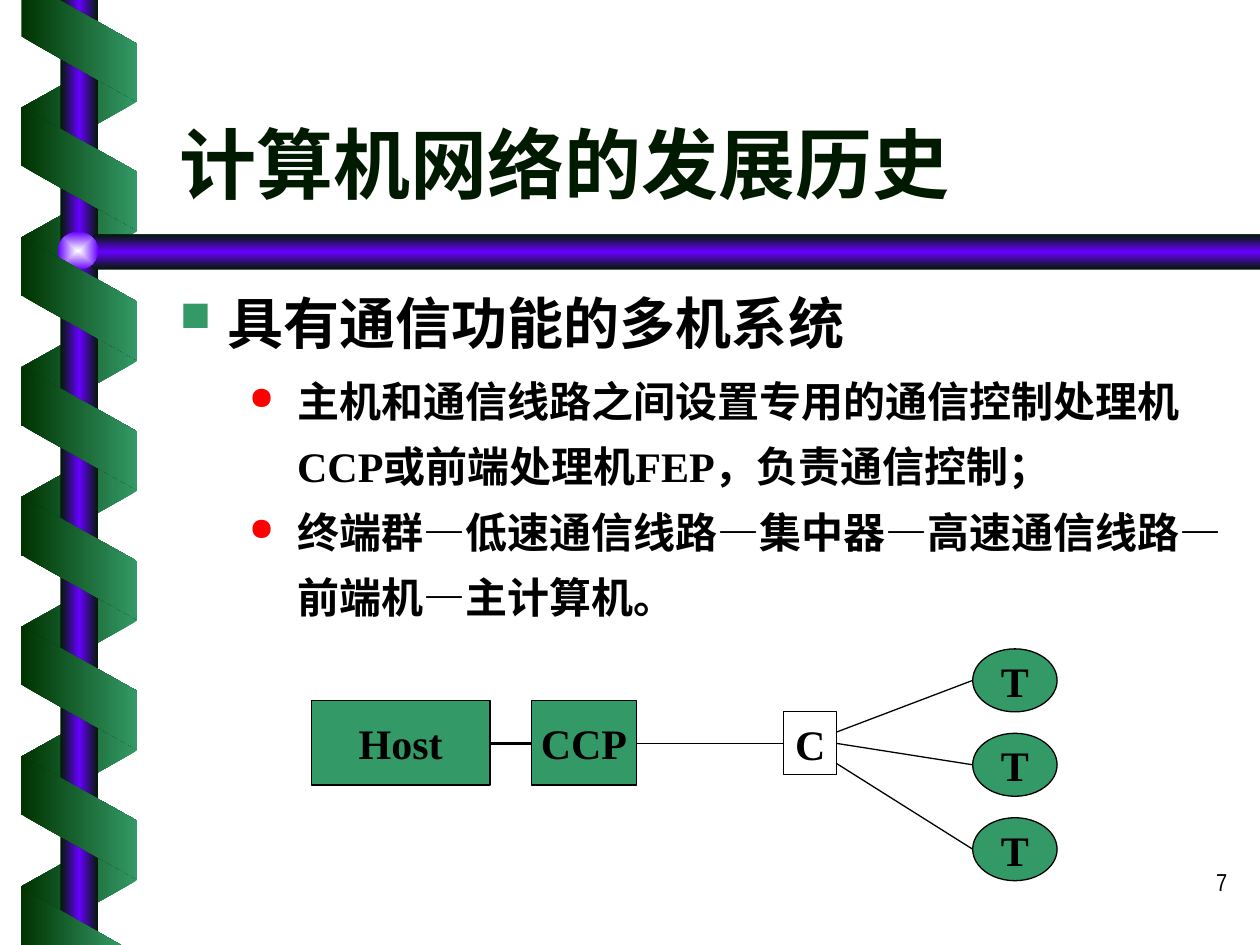
import pptx
import pptx.util
import pptx.dml.color
import pptx.enum.shapes
import pptx.enum.text
import pptx.oxml
import pptx.oxml.ns
from pptx.util import Inches

SHAPES = pptx.enum.shapes.MSO_SHAPE
ALIGN = pptx.enum.text.PP_ALIGN
ANCHOR = pptx.enum.text.MSO_ANCHOR
SERIF = "Times New Roman"
CHINESE = "Noto Sans CJK SC"
GREEN = "339966"
DARK_GREEN = "003300"
BLACK = "000000"
RIBBON = [(0, DARK_GREEN), (100, GREEN)]
RIBBON_BACK = [(0, GREEN), (100, DARK_GREEN)]
BAR = [(0, "001A00"), (50, "6600FF"), (100, "001A00")]
BALL = [(0, "FEFFFF"), (100, "6600FF")]
LINEAR = '<a:lin ang="{}" scaled="0"/>'
CENTERED = '<a:path path="rect"><a:fillToRect l="50000" t="50000" r="50000" b="50000"/></a:path>'


def color(value):
    return pptx.dml.color.RGBColor.from_string(value)


def add_xml(parent, tag, **attributes):
    element = parent.makeelement(pptx.oxml.ns.qn(tag), attributes)
    parent.append(element)
    return element


def fill_gradient(shape, stops, direction):
    shape.shadow.inherit = False
    shape.line.fill.background()
    shape.fill.background()
    stop_xml = "".join(
        f'<a:gs pos="{position * 1000}"><a:srgbClr val="{value}"/></a:gs>'
        for position, value in stops
    )
    gradient = pptx.oxml.parse_xml(
        f'<a:gradFill {pptx.oxml.ns.nsdecls("a")} rotWithShape="0">'
        f"<a:gsLst>{stop_xml}</a:gsLst>{direction}</a:gradFill>"
    )
    properties = shape._element.spPr
    properties.replace(properties.find(pptx.oxml.ns.qn("a:noFill")), gradient)


def add_gradient_shape(slide, kind, box, stops, direction):
    shape = slide.shapes.add_shape(kind, *map(Inches, box))
    fill_gradient(shape, stops, direction)
    return shape


def add_gradient_outline(slide, points, stops, angle):
    corners = [(Inches(x), Inches(y)) for x, y in points]
    builder = slide.shapes.build_freeform(*corners[0])
    builder.add_line_segments(corners[1:], close=True)
    fill_gradient(builder.convert_to_shape(), stops, LINEAR.format(angle * 60000))


def add_ribbon_fold(slide, top, stops, rotation, flipped):
    fold = add_gradient_shape(
        slide, SHAPES.PARALLELOGRAM, (0.14, top, 0.98, 0.92), stops, LINEAR.format(0)
    )
    fold.adjustments[0] = 0.56
    fold.rotation = rotation
    if flipped:
        fold._element.spPr.find(pptx.oxml.ns.qn("a:xfrm")).set("flipH", "1")


def add_decoration(slide):
    pitch = 1.03
    for index in range(7):
        add_ribbon_fold(slide, 0.37 + index * pitch, RIBBON_BACK, 90, True)
    add_gradient_shape(slide, SHAPES.RECTANGLE, (0.48, 0, 0.3, 7.5), BAR, LINEAR.format(0))
    bar = [(10, 1.86), (0.76, 1.86), (0.6, 2), (0.76, 2.14), (10, 2.14)]
    add_gradient_outline(slide, bar, BAR, 90)
    add_gradient_shape(slide, SHAPES.OVAL, (0.46, 1.84, 0.32, 0.3), BALL, CENTERED)
    for index in range(6):
        add_ribbon_fold(slide, 0.88 + index * pitch, RIBBON, 270, False)
    top_end = [(0.17, 0), (0.17, 0.29), (1.09, 0.81), (1.09, 0.35), (0.47, 0)]
    bottom_end = [(0.96, 7.5), (0.17, 7.05), (0.17, 7.5)]
    for points in (top_end, bottom_end):
        add_gradient_outline(slide, points, RIBBON, 0)


def add_run(paragraph, text, size, font=SERIF, value=BLACK, bold=True):
    run = paragraph.add_run()
    run.text = text
    run.font.size = pptx.util.Pt(size)
    run.font.name = font
    run.font.bold = bold
    run.font.color.rgb = color(value)
    add_xml(run._r.get_or_add_rPr(), "a:ea", typeface=CHINESE)


def add_text_frame(slide, box, anchor=ANCHOR.TOP):
    frame = slide.shapes.add_textbox(*map(Inches, box)).text_frame
    frame.word_wrap = True
    frame.vertical_anchor = anchor
    return frame


def set_bullet(paragraph, character, value, indent):
    properties = paragraph._p.get_or_add_pPr()
    properties.set("marL", str(Inches(indent)))
    properties.set("indent", str(Inches(-0.38)))
    add_xml(add_xml(properties, "a:buClr"), "a:srgbClr", val=value)
    add_xml(properties, "a:buSzPct", val="75000")
    add_xml(properties, "a:buChar", char=character)


def add_texts(slide):
    number = add_text_frame(slide, (7.76, 6.83, 2.08, 0.5)).paragraphs[0]
    number.alignment = ALIGN.RIGHT
    add_run(number, "7", 14, "Arial Narrow", bold=False)

    title = add_text_frame(slide, (1.33, 0.46, 8.5, 1.25), ANCHOR.BOTTOM).paragraphs[0]
    add_run(title, "计算机网络的发展历史", 44, CHINESE, "001A00")

    heading = add_text_frame(slide, (1.33, 2.24, 8.5, 0.76)).paragraphs[0]
    set_bullet(heading, "■", GREEN, 0.38)
    add_run(heading, "具有通信功能的多机系统", 32)

    details = add_text_frame(slide, (1.38, 2.81, 8.5, 2.2))
    sentences = [
        "主机和通信线路之间设置专用的通信控制处理机CCP或前端处理机FEP，负责通信控制；",
        "终端群—低速通信线路—集中器—高速通信线路—前端机—主计算机。",
    ]
    for index, sentence in enumerate(sentences):
        paragraph = details.add_paragraph() if index else details.paragraphs[0]
        paragraph.level = 1
        set_bullet(paragraph, "●", "FF0000", 0.88)
        paragraph.line_spacing = 1.3
        add_run(paragraph, sentence, 24)


def add_node(slide, kind, box, label, fill=GREEN):
    shape = slide.shapes.add_shape(kind, *map(Inches, box))
    shape.shadow.inherit = False
    shape.fill.solid()
    shape.fill.fore_color.rgb = color(fill)
    shape.line.color.rgb = color(BLACK)
    shape.line.width = pptx.util.Pt(0.75)
    frame = shape.text_frame
    frame.word_wrap = False
    frame.vertical_anchor = ANCHOR.MIDDLE
    frame.paragraphs[0].alignment = ALIGN.CENTER
    add_run(frame.paragraphs[0], label, 24)


def add_link(slide, start, end, width=0.75):
    link = slide.shapes.add_connector(
        pptx.enum.shapes.MSO_CONNECTOR.STRAIGHT, *map(Inches, start + end)
    )
    link.line.color.rgb = color(BLACK)
    link.line.width = pptx.util.Pt(width)
    add_xml(link._element.spPr, "a:effectLst")


def add_network(slide):
    axis = 5.9
    add_node(slide, SHAPES.RECTANGLE, (2.47, 5.56, 1.42, 0.67), "Host")
    add_node(slide, SHAPES.RECTANGLE, (4.22, 5.56, 0.83, 0.67), "CCP")
    add_node(slide, SHAPES.RECTANGLE, (6.22, 5.65, 0.42, 0.5), "C", "FFFFFF")
    add_link(slide, (3.89, axis), (4.22, axis), 1.5)
    add_link(slide, (5.05, axis), (6.22, axis))
    for index, link_start in enumerate((5.81, axis, 6.06)):
        top = 5.15 + index * 0.67
        add_node(slide, SHAPES.OVAL, (7.72, top, 0.67, 0.5), "T")
        add_link(slide, (6.64, link_start), (7.72, top + 0.25))


def main():
    presentation = pptx.Presentation()
    presentation.slide_width = Inches(10)
    presentation.slide_height = Inches(7.5)
    slide = presentation.slides.add_slide(presentation.slide_layouts[6])
    add_decoration(slide)
    add_texts(slide)
    add_network(slide)
    presentation.save("out.pptx")


if __name__ == "__main__":
    main()
